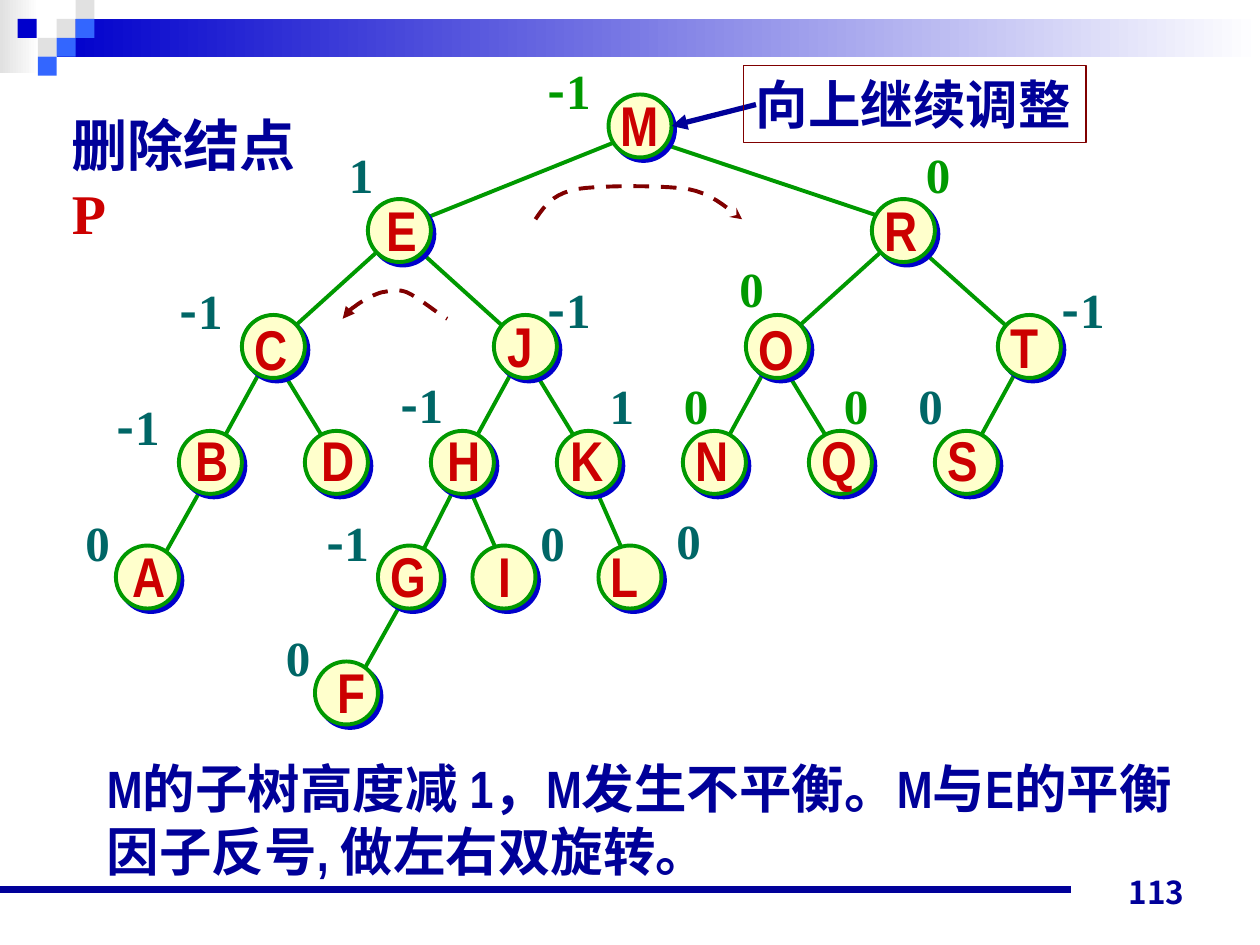
import dataclasses

import lxml.etree
import pptx
import pptx.dml.color
import pptx.enum.dml
import pptx.enum.shapes
import pptx.enum.text
import pptx.oxml.ns
import pptx.util

Inches = pptx.util.Inches
Pt = pptx.util.Pt
qn = pptx.oxml.ns.qn
SHAPES = pptx.enum.shapes.MSO_SHAPE
ALIGN = pptx.enum.text.PP_ALIGN
ANCHOR = pptx.enum.text.MSO_ANCHOR
FIT = pptx.enum.text.MSO_AUTO_SIZE


@dataclasses.dataclass(frozen=True)
class Theme:
    navy: str = "000099"
    blue: str = "0000CC"
    sky: str = "3366FF"
    grey: str = "E1E1E1"
    white: str = "FFFFFF"
    green: str = "009900"
    teal: str = "006666"
    red: str = "CC0000"
    maroon: str = "800000"
    cream: str = "FFFFCC"
    serif: str = "Times New Roman"
    narrow: str = "Arial Narrow"
    chinese: str = "Noto Sans CJK SC"
    number_font: str = "Noto Sans CJK JP"
    large: int = 32
    body: int = 30
    factor: int = 28
    small: int = 18


def rgb(code):
    return pptx.dml.color.RGBColor.from_string(code)


def bezier(start, curves, steps=10):
    """Return points along a chain of cubic curves (control, control, end)."""
    points = [start]
    for first, second, end in curves:
        for step in range(1, steps + 1):
            t = step / steps
            weights = ((1 - t) ** 3, 3 * t * (1 - t) ** 2, 3 * t * t * (1 - t), t ** 3)
            corners = (start, first, second, end)
            points.append(tuple(sum(w * c[axis] for w, c in zip(weights, corners))
                                for axis in (0, 1)))
        start = end
    return points


class SlideBuilder:
    def __init__(self, slide, theme):
        self.slide = slide
        self.theme = theme

    def style_text(self, frame, size, color, font):
        for para in frame.paragraphs:
            para.font.size = Pt(size)
            para.font.bold = True
            para.font.name = font
            para.font.color.rgb = rgb(color)
            latin = para._p.pPr.find(qn("a:defRPr")).find(qn("a:latin"))
            east_asian = latin.makeelement(qn("a:ea"), {"typeface": self.theme.chinese})
            latin.addnext(east_asian)

    def style_line(self, shape, color, width, **ends):
        """Style an outline; ends maps headEnd or tailEnd to an arrowhead."""
        shape.line.color.rgb = rgb(color)
        shape.line.width = Pt(width)
        for end, kind in ends.items():
            lxml.etree.SubElement(shape.line._ln, qn("a:" + end), type=kind)

    def title(self, place, first_line, second_line):
        box = self.slide.shapes.title
        box.left, box.top, box.width, box.height = map(Inches, place)
        frame = box.text_frame
        frame.auto_size = FIT.NONE
        frame.word_wrap = True
        frame.vertical_anchor = ANCHOR.TOP
        para = frame.paragraphs[0]
        para.alignment = ALIGN.LEFT
        para.add_run().text = first_line
        para.add_line_break()
        span = para.add_run()
        span.text = second_line
        span.font.color.rgb = rgb(self.theme.red)
        self.style_text(frame, self.theme.large, self.theme.navy, self.theme.serif)

    def text(self, place, content, size, color, font, wrap=False):
        box = self.slide.shapes.add_textbox(*map(Inches, place))
        frame = box.text_frame
        frame.word_wrap = wrap
        frame.auto_size = FIT.SHAPE_TO_FIT_TEXT
        frame.text = content
        self.style_text(frame, size, color, font)
        return box

    def balance_factor(self, left, top, value, color):
        width = 0.59 if value < 0 else 0.4
        box = self.text((left, top, width, 0.57), str(abs(value)),
                        self.theme.factor, color, self.theme.serif)
        if value < 0:
            para = box.text_frame.paragraphs[0]
            para.runs[0].text = "-"
            para.runs[0].font.name = self.theme.chinese
            para.add_run().text = str(abs(value))

    def shape(self, kind, place, color, fade_to=None):
        shape = self.slide.shapes.add_shape(kind, *map(Inches, place))
        shape.shadow.inherit = False
        shape.line.fill.background()
        if fade_to:
            shape.fill.gradient()
            shape.fill.gradient_angle = 0
            for stop, position, code in zip(shape.fill.gradient_stops, (0, 1),
                                            (color, fade_to)):
                stop.position = position
                stop.color.rgb = rgb(code)
        else:
            shape.fill.solid()
            shape.fill.fore_color.rgb = rgb(color)
        return shape

    def node(self, left, top):
        circle = self.shape(SHAPES.OVAL, (left, top, 0.5, 0.5), self.theme.cream)
        self.style_line(circle, self.theme.green, 2.25)
        effects = circle._element.spPr.find(qn("a:effectLst"))
        shadow = lxml.etree.SubElement(effects, qn("a:outerShdw"), blurRad="0",
                                       dist=str(Pt(2.8)), dir="2700000", algn="ctr")
        lxml.etree.SubElement(shadow, qn("a:srgbClr"), val=self.theme.blue)

    def line(self, start, end, color, width, **ends):
        line = self.slide.shapes.add_connector(
            pptx.enum.shapes.MSO_CONNECTOR.STRAIGHT, *map(Inches, start + end))
        self.style_line(line, color, width, **ends)
        lxml.etree.SubElement(line._element.spPr, qn("a:effectLst"))

    def rotation_arrow(self, points, **ends):
        outline = [(Inches(x), Inches(y)) for x, y in points]
        builder = self.slide.shapes.build_freeform(*outline[0])
        builder.add_line_segments(outline[1:], close=False)
        arrow = builder.convert_to_shape()
        arrow.shadow.inherit = False
        arrow.fill.background()
        arrow.line.dash_style = pptx.enum.dml.MSO_LINE.DASH
        self.style_line(arrow, self.theme.maroon, 2.25, **ends)


# letter: circle left and top, letter left, top and width
NODES = {
    "A": (0.92, 4.33, 0.95, 4.25, 0.47), "B": (1.42, 3.42, 1.45, 3.33, 0.47),
    "C": (1.92, 2.5, 1.92, 2.45, 0.47), "D": (2.42, 3.42, 2.45, 3.33, 0.47),
    "E": (2.92, 1.58, 2.97, 1.5, 0.44), "F": (2.5, 5.25, 2.58, 5.17, 0.42),
    "G": (3, 4.33, 3, 4.25, 0.48), "H": (3.42, 3.42, 3.45, 3.33, 0.47),
    "I": (3.75, 4.33, 3.86, 4.25, 0.3), "J": (3.92, 2.5, 3.93, 2.42, 0.4),
    "K": (4.42, 3.42, 4.43, 3.33, 0.47), "L": (4.75, 4.33, 4.75, 4.25, 0.42),
    "M": (4.83, 0.75, 4.83, 0.67, 0.51), "N": (5.42, 3.42, 5.42, 3.33, 0.47),
    "O": (5.92, 2.5, 5.92, 2.45, 0.48), "Q": (6.42, 3.42, 6.42, 3.33, 0.48),
    "R": (6.92, 1.58, 6.92, 1.5, 0.47), "S": (7.42, 3.42, 7.42, 3.33, 0.44),
    "T": (7.92, 2.5, 7.92, 2.43, 0.42),
}
EDGES = [
    ((6.17, 2.83), (6.58, 3.5)), ((5.67, 3.67), (6.08, 2.92)), ((1.25, 4.5), (1.67, 3.75)),
    ((4.67, 3.75), (5, 4.5)), ((3.67, 3.75), (4, 4.5)), ((3.25, 4.58), (3.67, 3.75)),
    ((7.67, 3.67), (8.08, 2.92)), ((4.17, 2.83), (4.58, 3.5)), ((3.67, 3.67), (4.08, 2.92)),
    ((2.17, 2.83), (2.58, 3.5)), ((4.08, 2.67), (3.25, 1.92)), ((8.17, 2.75), (7.33, 2)),
    ((6.25, 2.67), (7.08, 1.92)), ((5.08, 1.08), (7.08, 1.75)), ((2.83, 5.42), (3.25, 4.67)),
    ((2.25, 2.67), (3.08, 1.92)), ((1.67, 3.67), (2.08, 2.92)), ((3.33, 1.75), (5, 1.08)),
]
TEAL_FACTORS = [
    (0.58, 4.02, 0), (2.17, 4.93, 0), (4.19, 4.02, 0), (5.27, 4, 0), (7.19, 2.93, 0),
    (8.33, 2.17, -1), (4.25, 2.17, -1), (1.33, 2.18, -1), (0.83, 3.1, -1),
    (2.49, 4.02, -1), (3.08, 2.92, -1), (4.74, 2.93, 1), (2.67, 1.1, 1),
]
GREEN_FACTORS = [(5.33, 2.93, 0), (4.25, 0.43, -1), (5.77, 2, 0), (7.25, 1.1, 0),
                 (6.6, 2.93, 0)]
RIGHT_TURN = bezier((4.25, 1.74), [
    ((4.32, 1.64), (4.38, 1.54), (4.58, 1.5)), ((4.78, 1.47), (5.24, 1.47), (5.46, 1.5)),
    ((5.68, 1.54), (5.82, 1.7), (5.89, 1.74))])
LEFT_TURN = bezier((2.72, 2.53), [
    ((2.74, 2.5), (2.77, 2.46), (2.82, 2.43)), ((2.87, 2.39), (2.96, 2.34), (3.03, 2.32)),
    ((3.1, 2.31), (3.15, 2.29), (3.23, 2.32)), ((3.32, 2.36), (3.49, 2.5), (3.55, 2.53))])


def main():
    deck = pptx.Presentation()
    deck.slide_width, deck.slide_height = Inches(10), Inches(7.5)
    theme = Theme()
    page = SlideBuilder(deck.slides.add_slide(deck.slide_layouts[5]), theme)

    page.shape(SHAPES.RECTANGLE, (0, 0, 0.31, 0.58), theme.grey, theme.white)
    page.shape(SHAPES.RECTANGLE, (0.45, 0.15, 9.55, 0.3), theme.blue, theme.white)
    for left, top, color in [(0.45, 0.15, theme.grey), (0.6, 0, theme.grey),
                             (0.6, 0.15, theme.sky), (0.3, 0.3, theme.grey),
                             (0.14, 0.15, theme.blue), (0.45, 0.3, theme.sky),
                             (0.3, 0.45, theme.sky)]:
        page.shape(SHAPES.RECTANGLE, (left, top, 0.15, 0.15), color)
    page.line((0, 7.06), (8.5, 7.06), theme.navy, 4.5)
    number = page.text((7.17, 6.78, 2.33, 0.5), "113", theme.small, theme.navy,
                       theme.number_font, wrap=True)
    number.text_frame.auto_size = FIT.NONE
    number.text_frame.vertical_anchor = ANCHOR.BOTTOM
    number.text_frame.paragraphs[0].alignment = ALIGN.RIGHT

    page.title((0.47, 0.83, 2.26, 0.63), "删除结点", "P")
    page.text((0.75, 5.95, 8.68, 1.1),
              "M的子树高度减 1，M发生不平衡。M与E的平衡因子反号, 做左右双旋转。",
              theme.body, theme.navy, theme.narrow, wrap=True)

    for start, end in EDGES:
        page.line(start, end, theme.green, 2.25)
    for left, top, *_ in NODES.values():
        page.node(left, top)
    for letter, (_, _, left, top, width) in NODES.items():
        page.text((left, top, width, 0.63), letter, theme.large, theme.red, theme.narrow)
    for color, factors in ((theme.teal, TEAL_FACTORS), (theme.green, GREEN_FACTORS)):
        for left, top, value in factors:
            page.balance_factor(left, top, value, color)

    page.line((6, 0.83), (5.33, 1), theme.navy, 3, tailEnd="triangle")
    callout = page.text((5.9, 0.52, 2.72, 0.61), "向上继续调整", theme.body,
                        theme.navy, theme.serif)
    page.style_line(callout, theme.maroon, 0.75)
    page.rotation_arrow(RIGHT_TURN, tailEnd="stealth")
    page.rotation_arrow(LEFT_TURN, headEnd="triangle")
    deck.save("out.pptx")


if __name__ == "__main__":
    main()
